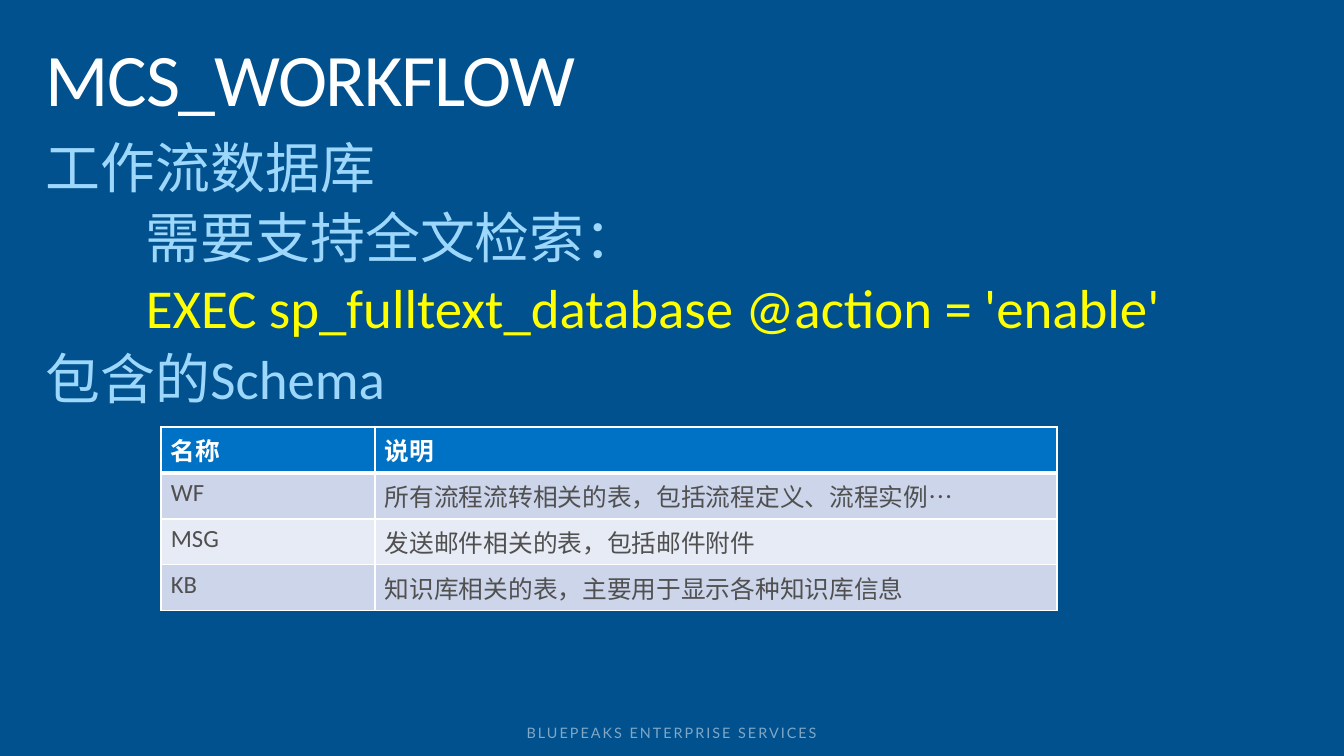
from lxml.etree import SubElement
from pptx import Presentation
from pptx.dml.color import RGBColor
from pptx.enum.lang import MSO_LANGUAGE_ID as Lang
from pptx.enum.text import MSO_ANCHOR as Anchor, PP_ALIGN as Align
from pptx.oxml.ns import qn
from pptx.util import Pt

# Content
TITLE = "MCS_WORKFLOW"
FOOTER = "BLUEPEAKS ENTERPRISE SERVICES"
POINTS = [  # text, indent in px, colour
    ("工作流数据库", 0, "sky"),
    ("需要支持全文检索：", 100, "sky"),
    ("EXEC sp_fulltext_database @action = 'enable'", 100, "yellow"),
    ("包含的Schema", 0, "sky"),
]
SCHEMAS = [
    ("名称", "说明"),
    ("WF", "所有流程流转相关的表，包括流程定义、流程实例…"),
    ("MSG", "发送邮件相关的表，包括邮件附件"),
    ("KB", "知识库相关的表，主要用于显示各种知识库信息"),
]
COLORS = {
    "navy": "00518E", "white": "FFFFFF", "sky": "9DD7FC", "yellow": "FFFF00",
    "header": "0072C6", "odd": "CCD5EA", "even": "E7EBF5", "ink": "505050",
    "footer": "80A8C7",
}

# Layout in px
PX = 9255
SLIDE = (1344, 756)
TITLE_BOX = (30, 32, 1284, 99)
POINTS_BOX = (30, 131, 1284, 299)
FOOTER_BOX = (511, 724, 322, 18)
TABLE_LEFT, TABLE_TOP = 161, 427
COLUMNS = (214, 682)
ROW = 46


def emu(*lengths):
    return [length * PX for length in lengths]


def color(name):
    return RGBColor.from_string(COLORS[name])


def style(paragraph, size, color_name, font="Calibri", bold=False, spacing=0):
    paragraph.font.name = font
    paragraph.font.size = Pt(size)
    paragraph.font.bold = bold
    paragraph.font.color.rgb = color(color_name)
    paragraph.font.language_id = Lang.SIMPLIFIED_CHINESE
    if spacing:
        paragraph._p.pPr.find(qn("a:defRPr")).set("spc", str(spacing))


def set_frame(frame, across, down, anchor=Anchor.TOP, wrap=True):
    frame.margin_left = frame.margin_right = across * PX
    frame.margin_top = frame.margin_bottom = down * PX
    frame.vertical_anchor = anchor
    frame.word_wrap = wrap


def set_borders(cell, bottom_width):
    properties = cell._tc.get_or_add_tcPr()
    widths = {"a:lnL": 1, "a:lnR": 1, "a:lnT": 1, "a:lnB": bottom_width}
    for position, (side, width) in enumerate(widths.items()):
        line = SubElement(properties, qn(side), w=str(Pt(width)))
        fill = SubElement(line, qn("a:solidFill"))
        SubElement(fill, qn("a:srgbClr"), val=COLORS["white"])
        properties.insert(position, line)


def main():
    deck = Presentation()
    deck.slide_width, deck.slide_height = emu(*SLIDE)
    slide = deck.slides.add_slide(deck.slide_layouts[5])
    slide.background.fill.solid()
    slide.background.fill.fore_color.rgb = color("navy")

    # Title
    title = slide.shapes.title
    title.left, title.top, title.width, title.height = emu(*TITLE_BOX)
    set_frame(title.text_frame, 16, 10)
    title.text_frame.text = TITLE
    heading = title.text_frame.paragraphs[0]
    heading.alignment = Align.LEFT
    heading.line_spacing = 0.9
    style(heading, 54, "white", spacing=-100)

    # Points
    points = slide.shapes.add_textbox(*emu(*POINTS_BOX)).text_frame
    set_frame(points, 16, 10)
    points.text = "\n".join(text for text, _, _ in POINTS)
    for point, (_, indent, color_name) in zip(points.paragraphs, POINTS):
        point.line_spacing = 0.9
        point.space_before = Pt(8)
        style(point, 40, color_name)
        point._p.pPr.set("marL", str(indent * PX))

    # Schema table
    table = slide.shapes.add_table(
        len(SCHEMAS), len(COLUMNS),
        *emu(TABLE_LEFT, TABLE_TOP, sum(COLUMNS), ROW * len(SCHEMAS))).table
    for column, width in zip(table.columns, COLUMNS):
        column.width = width * PX
    for r, schema in enumerate(SCHEMAS):
        is_header = r == 0
        fill_name = "header" if is_header else "odd" if r % 2 else "even"
        table.rows[r].height = ROW * PX
        for c, text in enumerate(schema):
            cell = table.cell(r, c)
            cell.text = text
            cell.fill.solid()
            cell.fill.fore_color.rgb = color(fill_name)
            set_borders(cell, 3 if is_header else 1)
            style(cell.text_frame.paragraphs[0], 18,
                  "white" if is_header else "ink", bold=is_header)

    # Footer
    footer = slide.shapes.add_textbox(*emu(*FOOTER_BOX)).text_frame
    set_frame(footer, 0, 0, Anchor.MIDDLE, wrap=False)
    footer.text = FOOTER
    footer_line = footer.paragraphs[0]
    footer_line.alignment = Align.CENTER
    style(footer_line, 10.5, "footer", font="Lato", spacing=150)

    deck.save("out.pptx")


if __name__ == "__main__":
    main()
